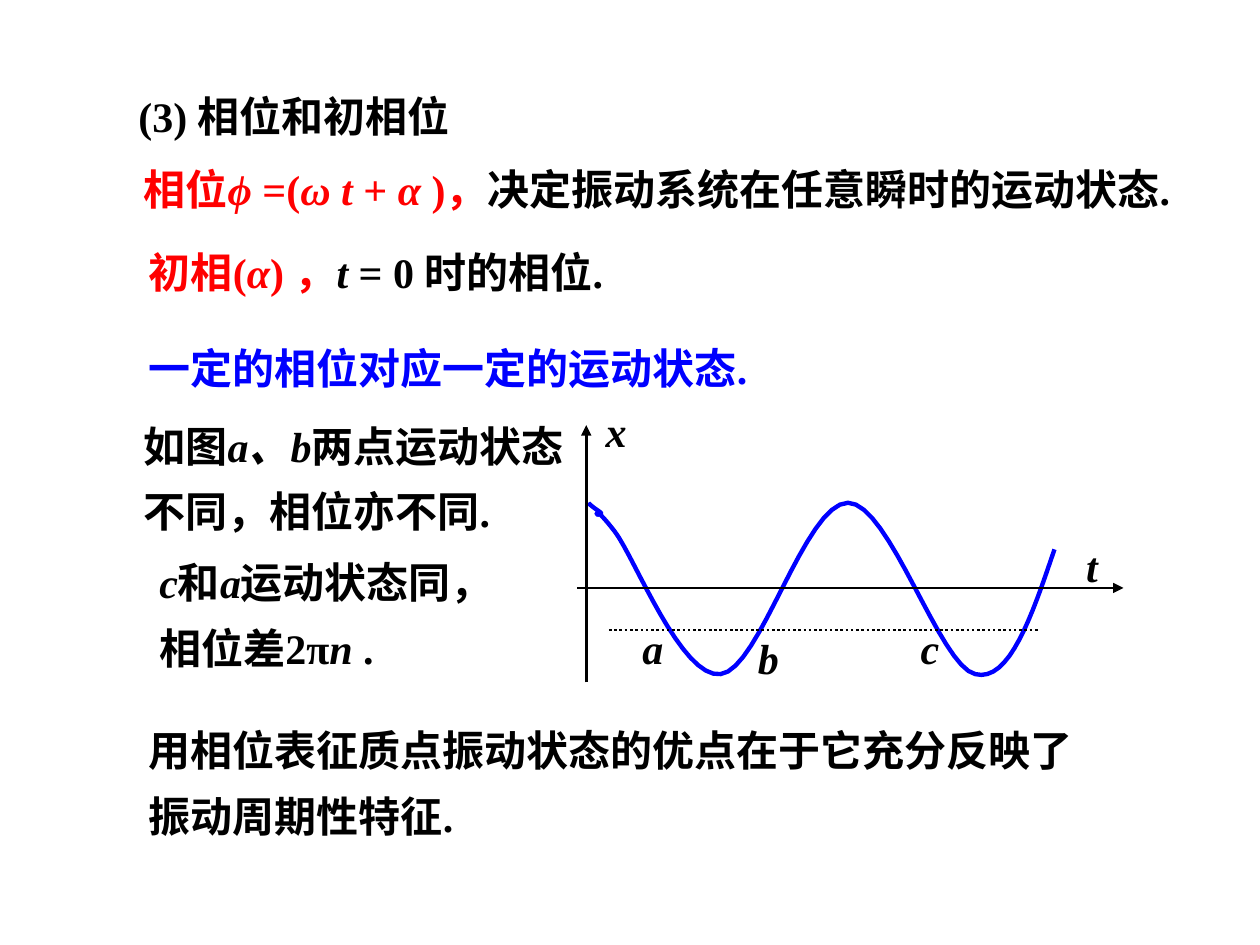
from lxml.etree import SubElement as Sub
from pptx import Presentation as Deck
from pptx.dml.color import RGBColor as Color
from pptx.enum.dml import MSO_LINE as Dash
from pptx.enum.shapes import MSO_CONNECTOR as Link
from pptx.enum.text import MSO_AUTO_SIZE as Fit
from pptx.oxml.ns import qn
from pptx.util import Pt

BLACK = Color(0, 0, 0)
RED = Color(255, 0, 0)
BLUE = Color(0, 0, 255)


class Pen:
    def __init__(self, slide):
        self.slide = slide
        self.place = slide.shapes
        self.style = {"name": "Times New Roman", "size": Pt(24), "bold": True}

    def group(self):
        self.place = self.slide.shapes.add_group_shape().shapes

    def leave(self):
        self.place = self.slide.shapes

    def text(self, left, top, width, height, runs, wrap=False, space=None):
        box = self.place.add_textbox(Pt(left), Pt(top), Pt(width), Pt(height))
        frame = box.text_frame
        form = {"word_wrap": wrap, "auto_size": Fit.SHAPE_TO_FIT_TEXT}
        for key, value in form.items():
            setattr(frame, key, value)
        para = frame.paragraphs[0]
        para.line_spacing = space
        for words, color, slant in runs:
            run = para.add_run()
            run.text = words
            for key, value in {**self.style, "italic": slant}.items():
                setattr(run.font, key, value)
            run.font.color.rgb = color

    def line(self, start, end, arrow=False, dash=None):
        line = self.place.add_connector(Link.STRAIGHT, *map(Pt, start + end))
        line.line.color.rgb = BLACK
        for key, value in {"width": Pt(1.5), "dash_style": dash}.items():
            setattr(line.line, key, value)
        if arrow:
            Sub(line.line._get_or_add_ln(), qn("a:tailEnd"), type="triangle")
        Sub(line._element.spPr, qn("a:effectLst"))

    def curve(self, start, bends, steps=16):
        dots = []
        last = start
        for one, two, end in bends:
            for step in range(1, steps + 1):
                t = step / steps
                u = 1 - t
                dots.append([
                    Pt(u**3 * a + 3 * u * u * t * b + 3 * u * t * t * c + t**3 * d)
                    for a, b, c, d in zip(last, one, two, end)
                ])
            last = end
        build = self.place.build_freeform(*map(Pt, start))
        build.add_line_segments(dots, close=False)
        wave = build.convert_to_shape()
        wave.shadow.inherit = False
        wave.fill.background()
        wave.line.color.rgb = BLUE
        wave.line.width = Pt(2.5)


def main():
    deck = Deck()
    deck.slide_width, deck.slide_height = Pt(720), Pt(540)
    pen = Pen(deck.slides.add_slide(deck.slide_layouts[6]))

    pen.text(72, 48, 211, 36, [("(3) 相位和初相位", BLACK, False)])
    pen.text(75, 90, 621.5, 36, [
        ("相位", RED, False), ("ϕ ", RED, True), ("=(", RED, False),
        ("ω t ", RED, True), ("+ ", RED, False), ("α", RED, True),
        (" )，", RED, False), ("决定振动系统在任意瞬时的运动状态.", BLACK, False),
    ], wrap=True)
    pen.text(78, 137.5, 283, 36, [
        ("初相(", RED, False), ("α", RED, True), (") ，", RED, False),
        ("t", BLACK, True), (" = 0 时的相位.", BLACK, False),
    ], wrap=True)

    pen.group()
    pen.curve((336.25, 287.25), [
        ((337, 288.7), (342.7, 292.3), (343.4, 293)),
        ((344.2, 294.5), (339.8, 292.3), (341.3, 293.8)),
        ((342.7, 295.9), (339.1, 288), (351.4, 303.8)),
        ((362.9, 319), (389.5, 388), (411.8, 385.2)),
        ((434.2, 383), (460, 287.3), (484.6, 287.3)),
        ((508.3, 287.3), (537, 380.9), (557.3, 385.2)),
        ((576.7, 390.2), (589.7, 352.1), (602.6, 313.9)),
    ])
    pen.line((330, 336), (642, 336), arrow=True)
    pen.line((335, 390), (335, 243), arrow=True)
    pen.line((348, 360), (594, 360), dash=Dash.ROUND_DOT)
    for name, left, top, width in [
        ("t", 613.5, 305.5, 21), ("x", 339, 228, 26.5),
        ("a", 360, 352, 26.5), ("b", 426, 358, 26.5), ("c", 519, 352, 25),
    ]:
        pen.text(left, top, width, 36, [(name, BLACK, True)])
    pen.leave()

    pen.text(78, 192, 382, 36, [("一定的相位对应一定的运动状态.", BLUE, False)])
    pen.text(75, 228, 255, 82, [
        ("如图", BLACK, False), ("a、b", BLACK, True),
        ("两点运动状态不同，相位亦不同.", BLACK, False),
    ], wrap=True, space=1.3)
    pen.text(84, 306, 225, 82, [
        ("c", BLACK, True), ("和", BLACK, False), ("a", BLACK, True),
        ("运动状态同，相位差2π", BLACK, False), ("n", BLACK, True),
        (" .", BLACK, False),
    ], wrap=True, space=1.3)
    pen.text(78, 402, 564, 82, [
        ("用相位表征质点振动状态的优点在于它充分反映了振动周期性特征.", BLACK, False),
    ], wrap=True, space=1.3)
    deck.save("out.pptx")


if __name__ == "__main__":
    main()
